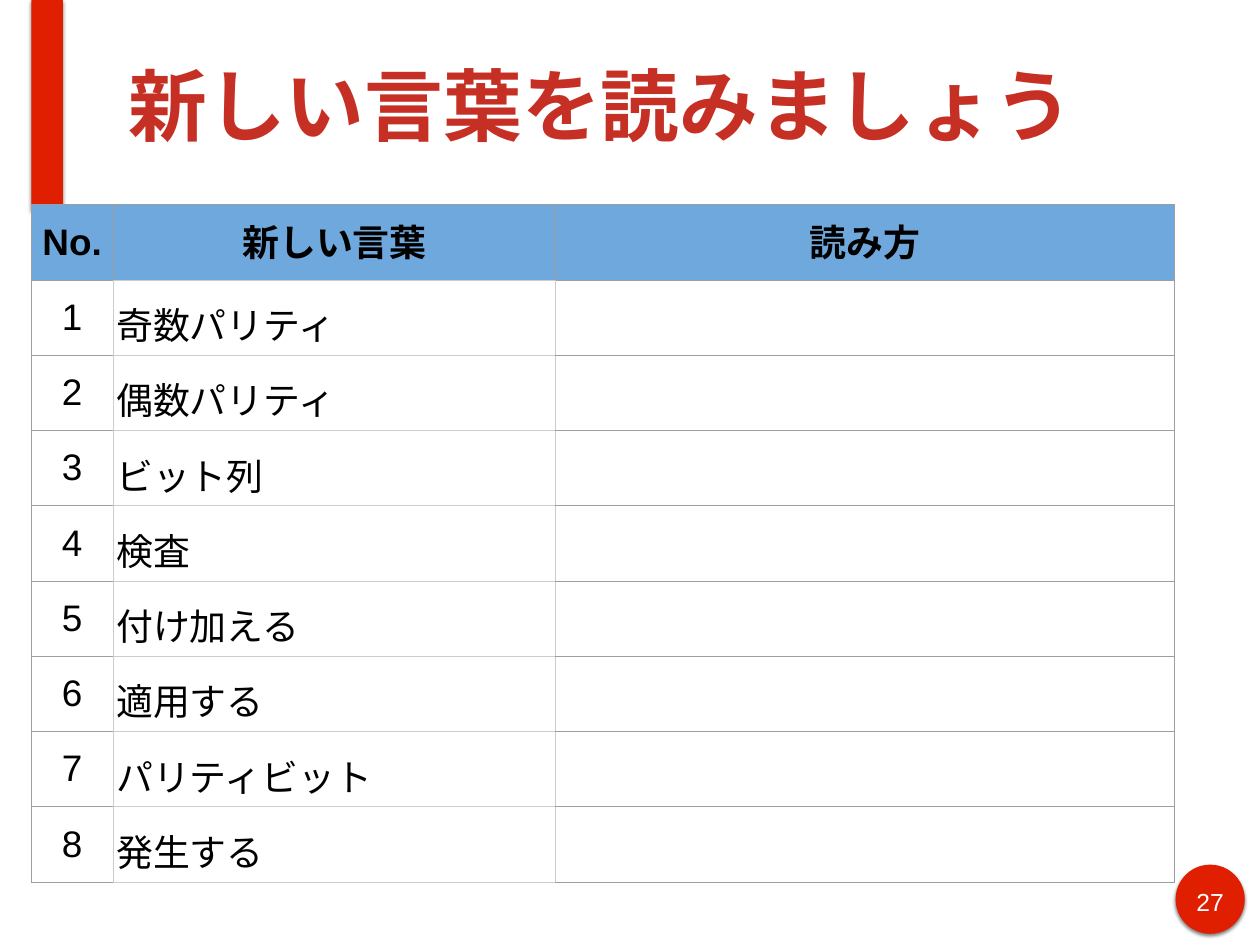
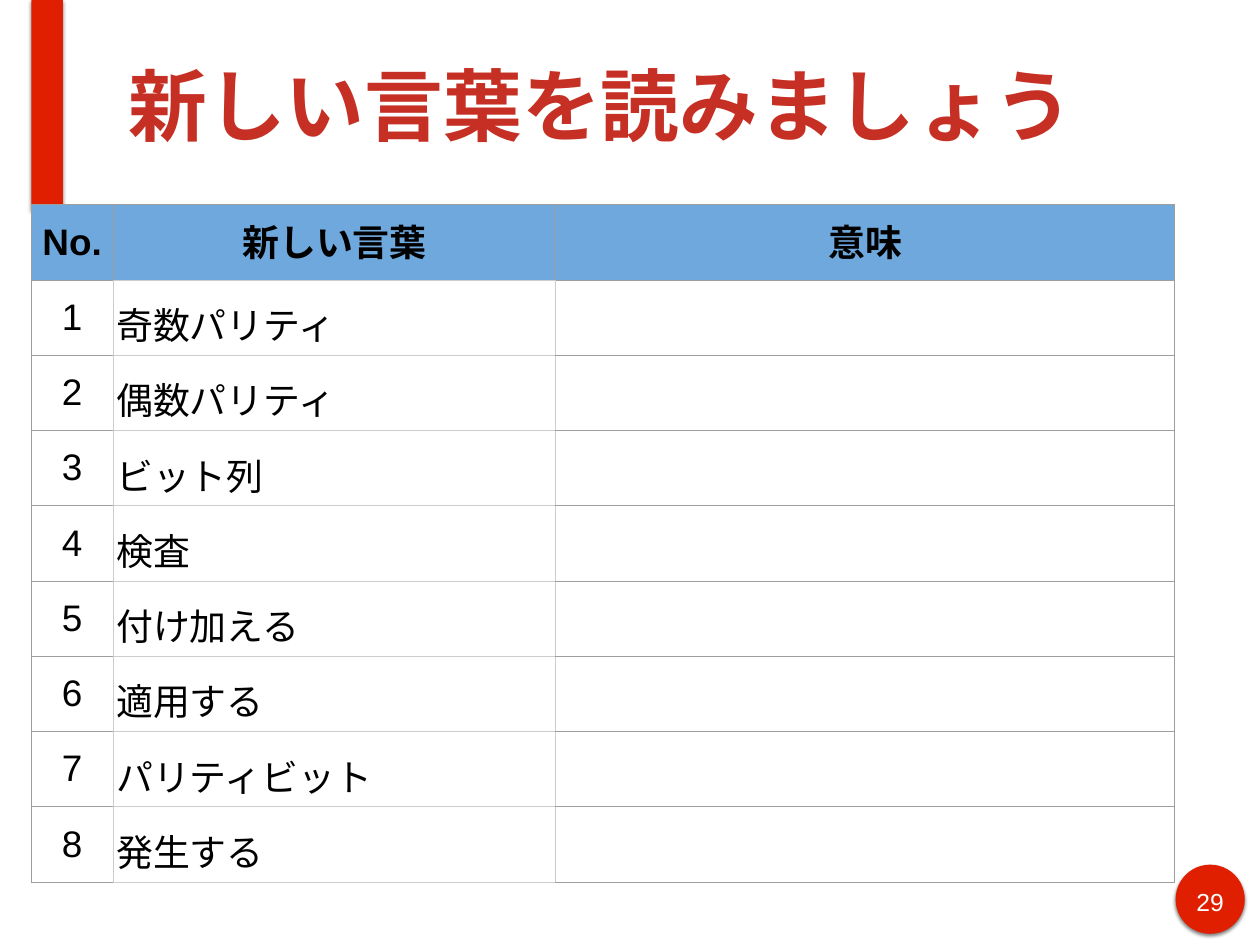
from lxml.etree import SubElement
from pptx import Presentation
from pptx.dml.color import RGBColor
from pptx.enum.lang import MSO_LANGUAGE_ID
from pptx.enum.shapes import MSO_SHAPE
from pptx.enum.text import MSO_ANCHOR, MSO_AUTO_SIZE, PP_ALIGN
from pptx.oxml import parse_xml
from pptx.oxml.ns import nsdecls, qn
from pptx.util import Pt

COLORS = {
    "accent": "DF1F00",
    "title": "C63024",
    "header": "6FA8DC",
    "ink": "000000",
    "paper": "FFFFFF",
    "rule": "9E9E9E",
    "light_rule": "CCCCCC",
}
BASE = {"name": "Arial", "language_id": MSO_LANGUAGE_ID.JAPANESE}
TITLE_FONT = {**BASE, "size": Pt(64), "bold": True}
HEADER_FONT = {**BASE, "size": Pt(30), "bold": True}
WORD_FONT = {**HEADER_FONT, "bold": False}
NUMBER_FONT = {**BASE, "size": Pt(20)}

SLIDE_SIZE = (1024, 768)
BAR_BOX = (25.6, 0, 25.6, 170)
BADGE_BOX = (955.4, 702.7, 56.2, 56.2)
TITLE_BOX = (100, 8.6, 874, 152.6)
TABLE_BOX = (25.2, 166.3, 929.5, 550.8)
COLUMN_WIDTHS = (67, 359.3, 503.2)

TITLE = "新しい言葉を読みましょう"
WORDS = ["奇数パリティ", "偶数パリティ", "ビット列", "検査",
         "付け加える", "適用する", "パリティビット", "発生する"]
PAGES = [("27", "読み方"), ("29", "意味")]


def rgb(color):
    return RGBColor.from_string(COLORS[color])


def points(box):
    return [Pt(length) for length in box]


def write(frame, text, font, color, align=PP_ALIGN.LEFT, spacing=None):
    """Fill a text frame with one formatted paragraph."""
    para = frame.paragraphs[0]
    para.alignment = align
    para.line_spacing = spacing
    span = para.add_run()
    span.text = text
    for name, value in font.items():
        setattr(span.font, name, value)
    span.font.color.rgb = rgb(color)


def set_margins(target, side, end):
    for name, value in {"margin_left": side, "margin_right": side,
                        "margin_top": end, "margin_bottom": end}.items():
        setattr(target, name, Pt(value))


def add_accent(page, layout, preset, box):
    """Draw a red shape with a soft shadow and move it to the layout."""
    shape = page.shapes.add_shape(preset, *points(box))
    shape.fill.solid()
    shape.fill.fore_color.rgb = rgb("accent")
    shape.line.fill.background()
    shape.element.spPr.append(parse_xml(
        f'<a:effectLst {nsdecls("a")}>'
        f'<a:outerShdw blurRad="{Pt(3)}" dist="{Pt(2)}" dir="5400000" rotWithShape="0">'
        f'<a:srgbClr val="{COLORS["ink"]}"><a:alpha val="49000"/></a:srgbClr>'
        '</a:outerShdw></a:effectLst>'))
    layout.shapes.element.append(shape.element)


def add_title(page, box):
    title = page.shapes.title
    title.left, title.top, title.width, title.height = points(box)
    frame = title.text_frame
    frame.auto_size = MSO_AUTO_SIZE.NONE
    frame.vertical_anchor = MSO_ANCHOR.MIDDLE
    set_margins(frame, 4.5, 4.5)
    write(frame, TITLE, TITLE_FONT, "title")


def add_page_number(page, number, box):
    left, top, width, height = box
    label = page.shapes.add_textbox(
        *points((left + 10.8, top + 13.7, width - 21.6, height - 28.1)))
    frame = label.text_frame
    frame.word_wrap = True
    set_margins(frame, 4.5, 4.5)
    write(frame, number, NUMBER_FONT, "paper", PP_ALIGN.CENTER)


def is_word(row, column):
    return row > 0 and column == 1


def set_borders(cell, row, column):
    """Draw light rules around the word cells and darker ones elsewhere."""
    neighbours = {"lnL": (row, column - 1), "lnR": (row, column + 1),
                  "lnT": (row - 1, column), "lnB": (row + 1, column)}
    properties = cell._tc.get_or_add_tcPr()
    for side, neighbour in neighbours.items():
        light = is_word(row, column) or is_word(*neighbour)
        line = SubElement(properties, qn(f"a:{side}"), w=str(Pt(0.75)))
        fill = SubElement(line, qn("a:solidFill"))
        SubElement(fill, qn("a:srgbClr"),
                   val=COLORS["light_rule" if light else "rule"])


def fill_cell(cell, row, column, text):
    set_borders(cell, row, column)
    word = is_word(row, column)
    set_margins(cell, 2.2 if word else 7.2, 7.2)
    if row == 0:
        cell.fill.solid()
        cell.fill.fore_color.rgb = rgb("header")
    else:
        cell.fill.background()
    if row > 0 or column == 0:
        cell.vertical_anchor = MSO_ANCHOR.MIDDLE
    if text:
        write(cell.text_frame, text, WORD_FONT if row else HEADER_FONT, "ink",
              PP_ALIGN.LEFT if word else PP_ALIGN.CENTER, 1.15 if word else None)


def add_word_table(page, answer_heading, box):
    rows = [("No.", "新しい言葉", answer_heading)]
    rows += [(str(number), word, "") for number, word in enumerate(WORDS, 1)]
    table = page.shapes.add_table(len(rows), len(COLUMN_WIDTHS), *points(box)).table
    table.horz_banding = False
    for column, width in zip(table.columns, COLUMN_WIDTHS):
        column.width = Pt(width)
    for row, texts in enumerate(rows):
        for column, text in enumerate(texts):
            fill_cell(table.cell(row, column), row, column, text)


def add_word_page(deck, layout, number, answer_heading):
    page = deck.slides.add_slide(layout)
    add_page_number(page, number, BADGE_BOX)
    add_title(page, TITLE_BOX)
    add_word_table(page, answer_heading, TABLE_BOX)
    return page


def main():
    deck = Presentation()
    deck.slide_width, deck.slide_height = points(SLIDE_SIZE)
    layout = deck.slide_layouts[5]
    pages = [add_word_page(deck, layout, *page) for page in PAGES]
    add_accent(pages[0], layout, MSO_SHAPE.OVAL, BADGE_BOX)
    add_accent(pages[0], layout, MSO_SHAPE.RECTANGLE, BAR_BOX)
    deck.save("out.pptx")


if __name__ == "__main__":
    main()
